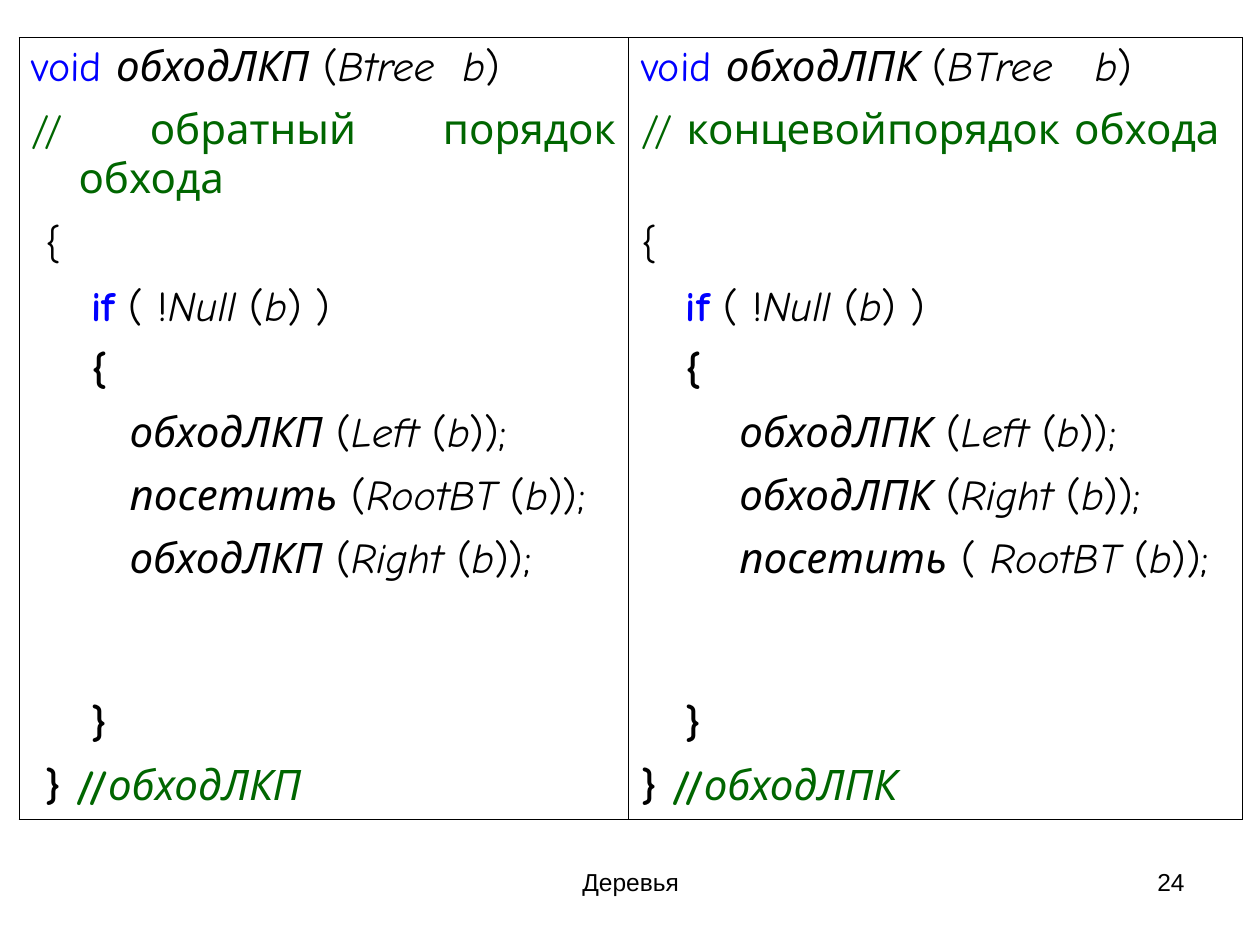
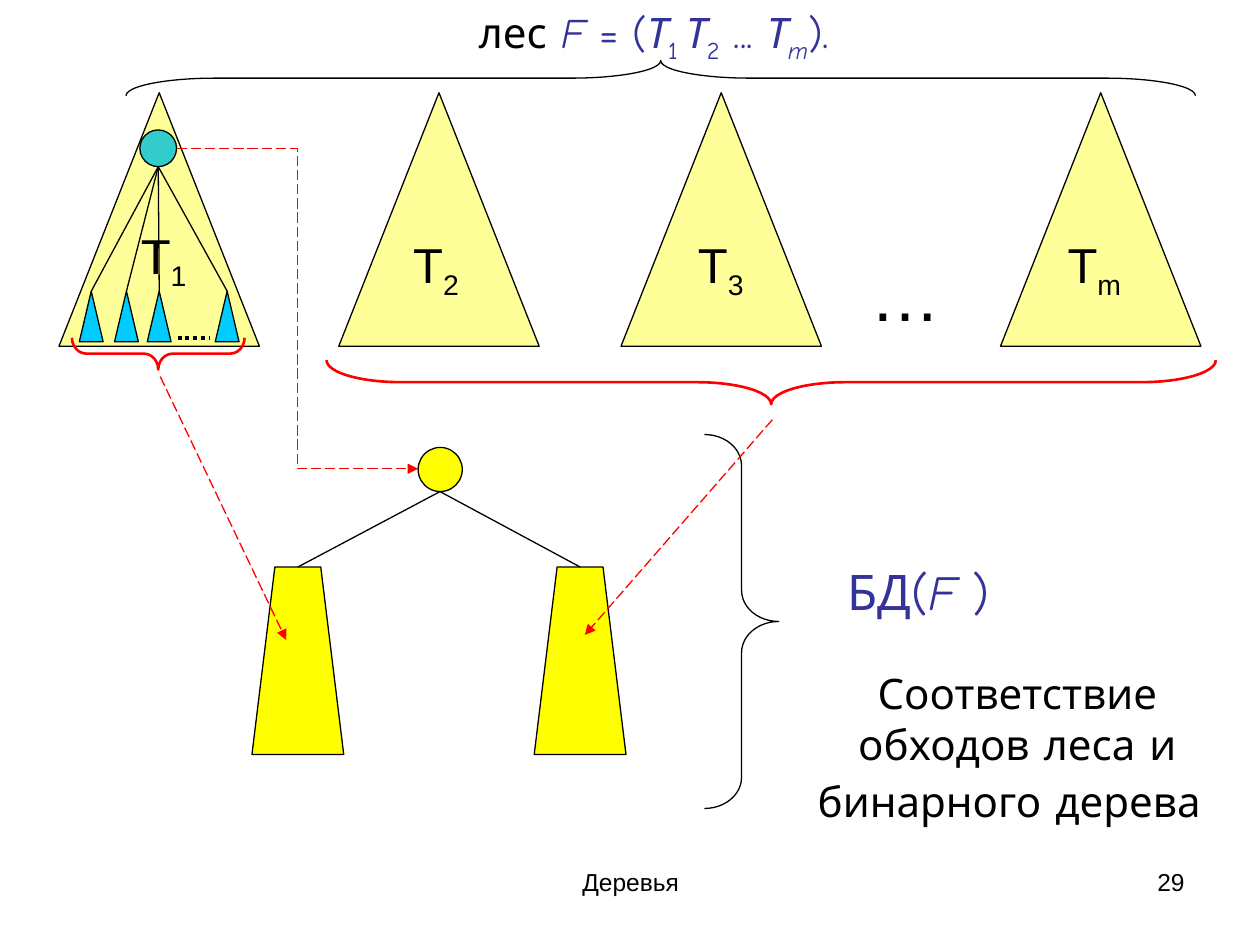
from pptx import Presentation
from pptx.dml.color import RGBColor
from pptx.enum.dml import MSO_LINE
from pptx.enum.shapes import MSO_CONNECTOR, MSO_SHAPE
from pptx.enum.text import MSO_ANCHOR, MSO_AUTO_SIZE, PP_ALIGN
from pptx.oxml.ns import qn
from pptx.util import Cm, Pt
from lxml.etree import SubElement

BLACK, WHITE, RED = "000000", "FFFFFF", "FF0000"
KEYWORD, COMMENT, FORMULA = "0000FF", "006600", "333399"
FOREST_FILL, ROOT_FILL, CHILD_FILL, BINARY_FILL = "FFFF99", "33CCCC", "00CCFF", "FFFF00"
PLAIN_FONT, CODE_FONT = "Arial", "Comic Neue"


def color(hex_text):
    """Turn a hex string into a colour."""
    return RGBColor.from_string(hex_text)


def inside(box, left, top, *size):
    """Shift a position given relative to a box onto the slide."""
    return (box[0] + left, box[1] + top, *size)


def write_spans(para, spans, size, font=CODE_FONT, ink=BLACK, align=PP_ALIGN.CENTER):
    """Fill a paragraph with (text, flags, colour) spans; flags are b, i and _ for subscript."""
    para.alignment = align
    para.font.name, para.font.size = font, Pt(size)
    para.font.color.rgb = color(ink)
    para.font.bold = False
    for text, flags, tint in spans:
        span = para.add_run()
        span.text = text
        if "b" in flags:
            span.font.bold = True
        if "i" in flags:
            span.font.italic = True
        if "_" in flags:
            span._r.get_or_add_rPr().set("baseline", "-25000")
        if tint:
            span.font.color.rgb = color(tint)


def add_text(page, box, spans, size, **style):
    """Add a wrapping text box with one paragraph."""
    frame = page.shapes.add_textbox(*map(Cm, box)).text_frame
    frame.word_wrap = True
    write_spans(frame.paragraphs[0], spans, size, **style)
    return frame


def add_figure(page, kind, box, fill=None, ink=BLACK, width=0.75):
    """Add a preset shape with an outline and an optional fill."""
    figure = page.shapes.add_shape(kind, *map(Cm, box))
    figure.shadow.inherit = False
    if fill:
        figure.fill.solid()
        figure.fill.fore_color.rgb = color(fill)
    else:
        figure.fill.background()
    figure.line.color.rgb = color(ink)
    figure.line.width = Pt(width)
    return figure


def add_brace(page, box, turn=0, ink=BLACK, width=0.75):
    """Add a curly brace that fills the box, its tip turned from the right by an angle."""
    left, top, wide, high = box
    depth, length = (high, wide) if turn else (wide, high)
    upright = (left + (wide - depth) / 2, top + (high - length) / 2, depth, length)
    brace = add_figure(page, MSO_SHAPE.RIGHT_BRACE, upright, ink=ink, width=width)
    brace.adjustments[0] = length / 12 / depth
    brace.rotation = turn


def add_line(page, start, end, ink=BLACK, width=0.75, dash=None, arrow=False,
             kind=MSO_CONNECTOR.STRAIGHT):
    """Add a connector between two points."""
    line = page.shapes.add_connector(kind, *map(Cm, (*start, *end)))
    line.line.color.rgb = color(ink)
    line.line.width = Pt(width)
    if dash:
        line.line.dash_style = dash
    properties = line._element.spPr
    if arrow:
        SubElement(properties.find(qn("a:ln")), qn("a:tailEnd"), type="triangle")
    SubElement(properties, qn("a:effectLst"))
    return line


def add_footer(page, number):
    """Add the course name and the slide number."""
    add_text(page, (8.69, 17.35, 8.05, 1.32), [("Деревья", "", None)], 14, font=PLAIN_FONT)
    add_text(page, (18.21, 17.35, 5.92, 1.32), [(number, "", None)], 14,
             font=PLAIN_FONT, align=PP_ALIGN.RIGHT)


def call(name, argument, opening=" ("):
    """Return the spans of one call in a traversal body."""
    return [("       ", "", None), (name, "i", None), (opening, "", None),
            (argument, "i", None), ("(" if argument.endswith(" ") else " (", "", None),
            ("b", "i", None), ("));", "", None)]


def traversal(name, parameter, comment, pad, calls):
    """Return the code rows of one traversal procedure."""
    return [
        [("void ", "", KEYWORD), (name, "i", None), (" (", "", None),
         (parameter, "i", None), (")", "", None)],
        [(comment, "", COMMENT)],
        [(pad + "{", "", None)],
        [(pad + "   ", "b", None), ("if", "b", KEYWORD), (" ( !", "", None),
         ("Null", "i", None), ("\u00a0(".replace("\u00a0", " "), "", None),
         ("b", "i", None), (") )", "", None)],
        [(pad + "   {", "b", None)],
        *calls,
        [(pad + "   }", "b", None)],
        [(pad, "", None), ("} ", "b", None), ("//", "b", COMMENT), (name, "i", COMMENT)],
    ]


def set_borders(cell, visible):
    """Draw the named sides of a cell and clear the others."""
    properties = cell._tc.get_or_add_tcPr()
    for side in "LRTB":
        edge = SubElement(properties, qn(f"a:ln{side}"), w=str(Pt(0.45)))
        if side in visible:
            SubElement(SubElement(edge, qn("a:solidFill")), qn("a:srgbClr"), val=BLACK)
        else:
            SubElement(edge, qn("a:noFill"))


def fill_code_cell(cell, spans, sides):
    """Write one line of code into a bordered white cell."""
    set_borders(cell, sides)
    cell.fill.solid()
    cell.fill.fore_color.rgb = color(WHITE)
    para = cell.text_frame.paragraphs[0]
    properties = para._p.get_or_add_pPr()
    properties.set("marL", str(Cm(0.95)))
    properties.set("indent", str(Cm(-0.95)))
    write_spans(para, [span for span in spans if span[0]], 24, align=PP_ALIGN.JUSTIFY)


def add_code_table(page, box, widths, listings):
    """Place the listings side by side, one line of code per row."""
    count = len(listings[0])
    table = page.shapes.add_table(count, len(listings), *map(Cm, box)).table
    table.first_row = table.horz_banding = False
    for row_index, row in enumerate(table.rows):
        row.height = Cm(3.3 if row_index == count - 3 else 1.27)
        sides = "LR" + "T" * (row_index == 0) + "B" * (row_index == count - 1)
        for column_index, listing in enumerate(listings):
            fill_code_cell(table.cell(row_index, column_index), listing[row_index], sides)
    for column, width in zip(table.columns, widths):
        column.width = Cm(width)


def build_traversals(deck):
    """Build the slide that compares two traversal procedures."""
    page = deck.slides.add_slide(deck.slide_layouts[6])
    add_footer(page, "24")
    inorder, postorder, visit = "обходЛКП", "обходЛПК", "посетить"
    listings = [
        traversal(inorder, "Btree  b", "// обратный порядок обхода", " ",
                  [call(inorder, "Left"), call(visit, "RootBT"), call(inorder, "Right")]),
        traversal(postorder, "BTree   b", "// концевойпорядок обхода", "",
                  [call(postorder, "Left"), call(postorder, "Right"),
                   call(visit, "RootBT ", " ( ")]),
    ]
    add_code_table(page, (0.38, 0.76, 24.66, 14.73), (12.29, 12.37), listings)


def add_title(page, box):
    """Write the forest formula into the title placeholder."""
    title = page.shapes.title
    title.left, title.top, title.width, title.height = map(Cm, box)
    frame = title.text_frame
    frame.auto_size = MSO_AUTO_SIZE.NONE
    frame.vertical_anchor = MSO_ANCHOR.MIDDLE
    spans = [("лес ", "", BLACK), ("F", "i", None), (" = (", "", None),
             ("Т", "i", None), ("1 ", "_", None), ("Т", "i", None), ("2", "_", None),
             (" ... ", "", None), ("Т", "i", None), ("m", "i_", None), (").", "", None)]
    write_spans(frame.paragraphs[0], spans, 24, ink=FORMULA)


def add_first_tree(page, box):
    """Show the root and the subtrees inside the first tree."""
    add_figure(page, MSO_SHAPE.OVAL, inside(box, 1.63, 0.75, 0.74, 0.74), ROOT_FILL)
    for left in (0.41, 1.12, 1.78, 3.15):
        add_figure(page, MSO_SHAPE.ISOSCELES_TRIANGLE, inside(box, left, 4, 0.48, 1.02), CHILD_FILL)
        add_line(page, inside(box, 2, 1.49), inside(box, left + 0.24, 4))
    add_line(page, inside(box, 2.39, 4.94), inside(box, 3.05, 4.94),
             width=2.25, dash=MSO_LINE.ROUND_DOT)
    add_brace(page, inside(box, 0.26, 4.94, 3.48, 0.64), 90, RED, 1.5)


def add_forest(page, box):
    """Draw the row of trees with its braces."""
    trees = [(0, 1.13, 2.55, "1"), (5.64, 6.62, 2.73, "2"),
             (11.33, 12.36, 2.73, "3"), (18.98, 19.89, 2.73, "m")]
    for left, label_left, label_top, index in trees:
        add_figure(page, MSO_SHAPE.ISOSCELES_TRIANGLE, inside(box, left, 0, 4.04, 5.11), FOREST_FILL)
        add_text(page, inside(box, label_left, label_top, 1.96, 1.6),
                 [("Т", "", None), (index, "_", None)], 28, font=PLAIN_FONT)
    add_text(page, inside(box, 15.65, 3.08, 2.84, 1.96), [("…", "", None)], 40, font=PLAIN_FONT)
    add_first_tree(page, box)
    add_brace(page, inside(box, 1.35, -0.65, 21.56, 0.71), 270)
    add_brace(page, inside(box, 5.39, 5.39, 17.93, 0.89), 90, RED, 1.5)


def add_binary_tree(page, box):
    """Draw the binary tree: a root, two subtrees and a brace."""
    add_figure(page, MSO_SHAPE.OVAL, inside(box, 3.35, 0, 0.89, 0.89), BINARY_FILL)
    for left in (0, 5.69):
        subtree = add_figure(page, MSO_SHAPE.TRAPEZOID, inside(box, left, 2.41, 1.85, 3.78), BINARY_FILL)
        branch = add_line(page, inside(box, 3.79, 0.89), inside(box, left + 0.93, 2.41))
        branch.end_connect(subtree, 0)
    add_brace(page, inside(box, 9.12, -0.26, 1.5, 7.54))


def add_links(page):
    """Link the parts of the forest to the parts of the binary tree."""
    links = [((3.56, 3), (8.43, 9.45), MSO_CONNECTOR.ELBOW),
             ((3.23, 7.59), (5.77, 12.9), MSO_CONNECTOR.STRAIGHT),
             ((15.57, 8.46), (11.79, 12.8), MSO_CONNECTOR.STRAIGHT)]
    for start, end, kind in links:
        add_line(page, start, end, RED, dash=MSO_LINE.LONG_DASH, arrow=True, kind=kind)


def add_captions(page, box):
    """Write the formula and the remark beside the binary tree."""
    add_text(page, inside(box, 0.31, 0, 5.18, 1.45),
             [("БД(", "", None), ("F ", "i", None), (")", "", None)], 28, ink=FORMULA)
    frame = add_text(page, inside(box, 0, 2.14, 9.78, 2.46),
                     [("Соответствие обходов леса и бинарного дерева", "", None),
                      (" ", "", None)], 24)
    frame.paragraphs[0].runs[-1].font.size = Pt(28)


def build_forest(deck):
    """Build the slide that maps a forest to a binary tree."""
    page = deck.slides.add_slide(deck.slide_layouts[5])
    add_footer(page, "29")
    add_title(page, (7.06, 0, 12.24, 1.42))
    add_forest(page, (1.19, 1.87))
    add_binary_tree(page, (5.08, 9.02))
    add_links(page)
    add_captions(page, (15.62, 11.2))


def main():
    """Build and save the deck."""
    deck = Presentation()
    deck.slide_width, deck.slide_height = Cm(25.4), Cm(19.05)
    build_traversals(deck)
    build_forest(deck)
    deck.save("out.pptx")


if __name__ == "__main__":
    main()
